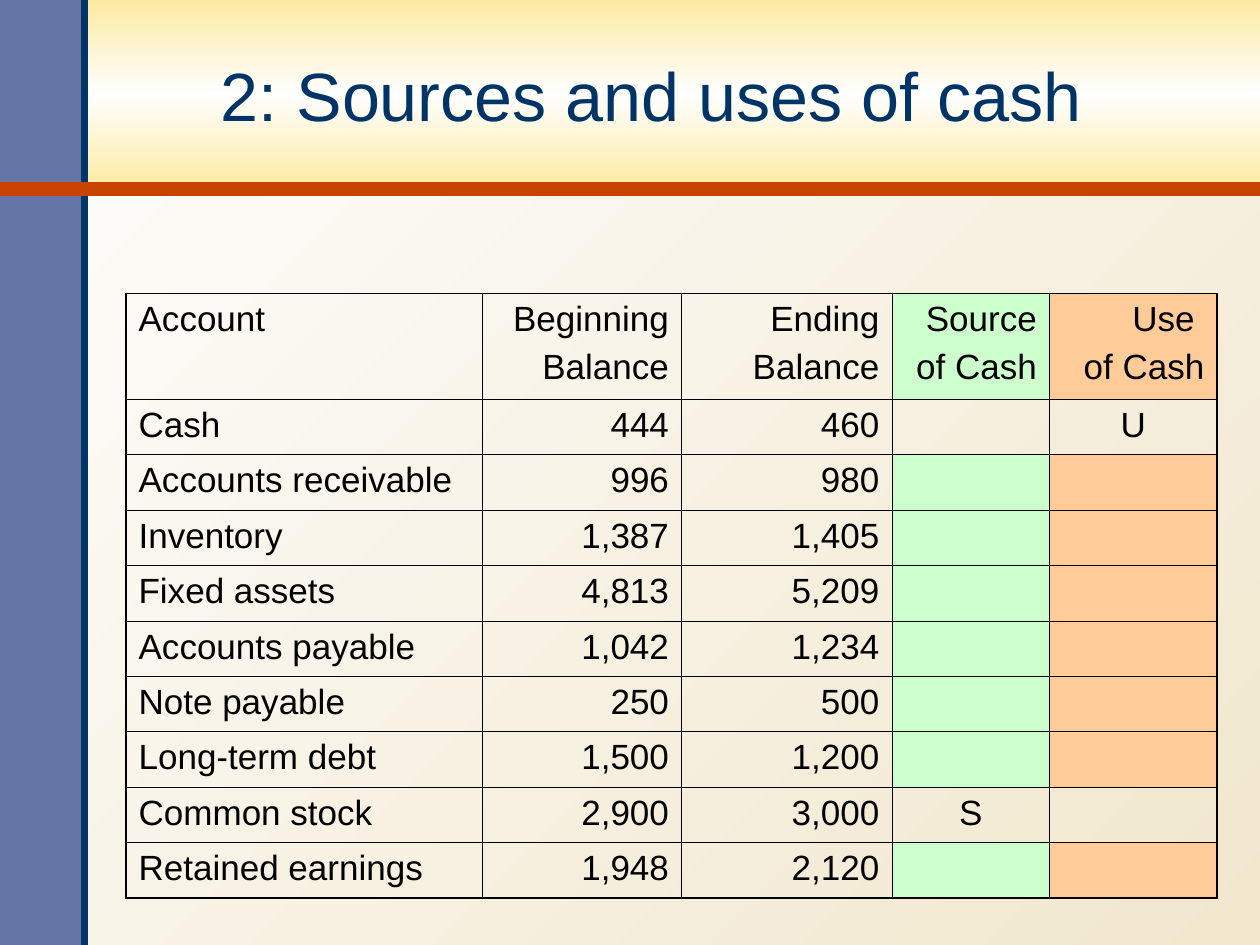
"""Build the slide on sources and uses of cash."""
import dataclasses

import lxml.etree
import pptx
import pptx.dml.color
import pptx.enum.shapes
import pptx.enum.text
import pptx.oxml.ns
import pptx.util

Inches = pptx.util.Inches
Pt = pptx.util.Pt
qn = pptx.oxml.ns.qn
Align = pptx.enum.text.PP_ALIGN
Anchor = pptx.enum.text.MSO_ANCHOR

NAVY, BLACK = "003366", "000000"
GREEN, PEACH = "CCFFCC", "FFCC99"
THIN, THICK = 0.45, 1.08
WIDTHS = [2.83, 1.58, 1.67, 1.25, 1.33]
HEAD, STEP = 0.84, 0.44


@dataclasses.dataclass
class Rule:
    start: tuple[float, float]
    end: tuple[float, float]
    color: str
    width: float


@dataclasses.dataclass
class Row:
    name: str
    begin: str
    end: str
    source: str = ""
    use: str = ""


RULES = [
    Rule((0.67, 7.5), (0.67, 0), NAVY, 4),
    Rule((0, 1.5), (10, 1.5), "C84300", 8),
]
ROWS = [
    Row("Account", "Beginning\nBalance", "Ending\nBalance", "Source\nof Cash", "Use \nof Cash"),
    Row("Cash", "444", "460", use="U"),
    Row("Accounts receivable", "996", "980"),
    Row("Inventory", "1,387", "1,405"),
    Row("Fixed assets", "4,813", "5,209"),
    Row("Accounts payable", "1,042", "1,234"),
    Row("Note payable", "250", "500"),
    Row("Long-term debt", "1,500", "1,200"),
    Row("Common stock", "2,900", "3,000", source="S"),
    Row("Retained earnings", "1,948", "2,120"),
]


def tint(code: str) -> pptx.dml.color.RGBColor:
    return pptx.dml.color.RGBColor.from_string(code)


def put(item, values: dict) -> None:
    for key, value in values.items():
        setattr(item, key, value)


def style(part, size: float, color: str) -> None:
    put(part.font, {"name": "Arial", "size": Pt(size)})
    part.font.color.rgb = tint(color)


def blend(fill, root, stops: list[tuple[int, str]], angle: int) -> None:
    fill.gradient()
    node = root.find(".//" + qn("a:gradFill"))
    group = node.find(qn("a:gsLst"))
    for old in list(group):
        group.remove(old)
    for pos, code in stops:
        stop = lxml.etree.SubElement(group, qn("a:gs"), pos=str(pos * 1000))
        lxml.etree.SubElement(stop, qn("a:srgbClr"), val=code)
    node.find(qn("a:lin")).set("ang", str(angle * 60000))


def block(slide, box: tuple[float, ...]):
    kind = pptx.enum.shapes.MSO_SHAPE.RECTANGLE
    shape = slide.shapes.add_shape(kind, *map(Inches, box))
    shape.shadow.inherit = False
    shape.line.fill.background()
    return shape


def stroke(slide, rule: Rule) -> None:
    kind = pptx.enum.shapes.MSO_CONNECTOR.STRAIGHT
    line = slide.shapes.add_connector(kind, *map(Inches, rule.start + rule.end))
    line.line.color.rgb = tint(rule.color)
    line.line.width = Pt(rule.width)
    lxml.etree.SubElement(line._element.spPr, qn("a:effectLst"))


def edge(cell, widths: dict[str, float]) -> None:
    props = cell._tc.get_or_add_tcPr()
    for side, width in widths.items():
        line = lxml.etree.SubElement(props, qn("a:ln" + side), w=str(int(Pt(width))))
        fill = lxml.etree.SubElement(line, qn("a:solidFill"))
        lxml.etree.SubElement(fill, qn("a:srgbClr"), val=BLACK)


def write(cell, text: str, align) -> None:
    cell.text = text
    for num, para in enumerate(cell.text_frame.paragraphs):
        para.alignment = align
        if num:
            para.space_before = Pt(5)
        style(para, 20, BLACK)


def ledger(slide) -> None:
    last, right = len(ROWS) - 1, len(WIDTHS) - 1
    box = (1, 2.33, sum(WIDTHS), HEAD + STEP * last)
    table = slide.shapes.add_table(len(ROWS), len(WIDTHS), *map(Inches, box)).table
    put(table, {"first_row": False, "horz_banding": False})
    for col, width in zip(table.columns, WIDTHS):
        col.width = Inches(width)
    for r, row in enumerate(ROWS):
        table.rows[r].height = Inches(STEP if r else HEAD)
        shade = r == 0 or not (row.source or row.use)
        for c, text in enumerate(dataclasses.astuple(row)):
            cell = table.cell(r, c)
            outer = {"L": c == 0, "R": c == right, "T": r == 0, "B": r == last}
            edge(cell, {side: THICK if out else THIN for side, out in outer.items()})
            if shade and c > 2:
                cell.fill.solid()
                cell.fill.fore_color.rgb = tint(GREEN if c == 3 else PEACH)
            else:
                cell.fill.background()
            align = Align.LEFT if c == 0 else Align.CENTER if r and c > 2 else Align.RIGHT
            write(cell, text, align)


def main() -> None:
    deck = pptx.Presentation()
    put(deck, {"slide_width": Inches(10), "slide_height": Inches(7.5)})
    slide = deck.slides.add_slide(deck.slide_layouts[5])
    blend(slide.background.fill, slide._element, [(0, "F1E7CD"), (100, "FEFEFE")], 225)

    band = block(slide, (0, 0, 10, 1.5))
    blend(band.fill, band._element, [(0, "FDEBA1"), (50, "FEFEFE"), (100, "FDEBA1")], 90)
    side = block(slide, (0, 0, 0.67, 7.5))
    side.fill.solid()
    side.fill.fore_color.rgb = tint("6475A6")
    for rule in RULES:
        stroke(slide, rule)

    title = slide.shapes.title
    slide.shapes._spTree.append(title._element)
    put(title, {"left": Inches(0.65), "top": Inches(0.15),
                "width": Inches(9.04), "height": Inches(1.2)})
    title.text = "2: Sources and uses of cash"
    put(title.text_frame, {"vertical_anchor": Anchor.MIDDLE, "word_wrap": True,
                           "auto_size": pptx.enum.text.MSO_AUTO_SIZE.NONE})
    head = title.text_frame.paragraphs[0]
    head.alignment = Align.CENTER
    style(head, 39, NAVY)

    ledger(slide)
    deck.save("out.pptx")


if __name__ == "__main__":
    main()
